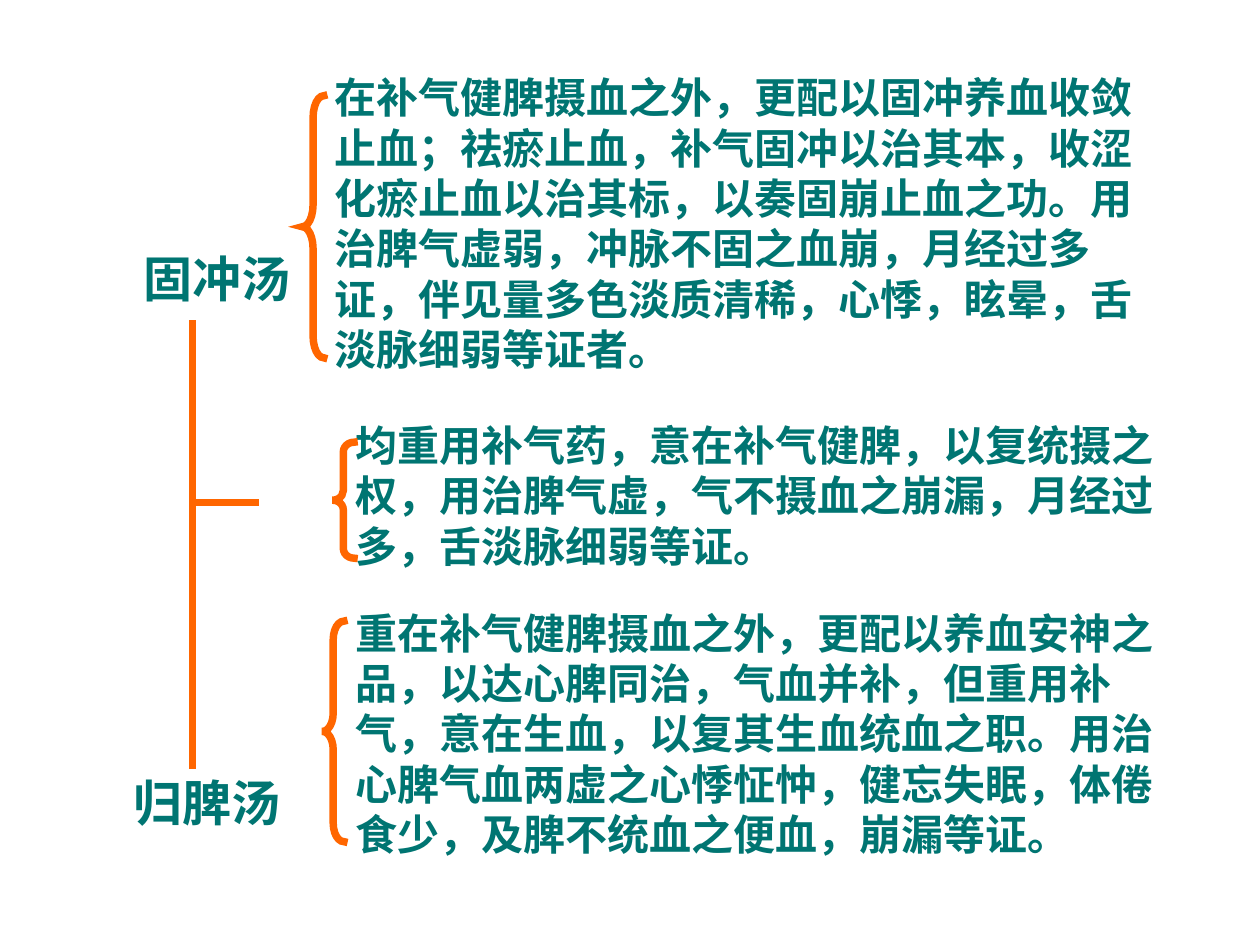
from dataclasses import dataclass

import pptx
import pptx.dml.color
import pptx.enum.lang
import pptx.enum.shapes
import pptx.enum.text
import pptx.oxml
import pptx.oxml.ns
import pptx.util

Inches = pptx.util.Inches
Pt = pptx.util.Pt


@dataclass(frozen=True)
class Theme:
    ink: pptx.dml.color.RGBColor = pptx.dml.color.RGBColor(0x00, 0x75, 0x72)
    accent: pptx.dml.color.RGBColor = pptx.dml.color.RGBColor(0xFF, 0x66, 0x00)
    chinese_font: str = "Noto Sans CJK SC"
    latin_font: str = "Arial"
    body_size: int = 24
    label_size: int = 28
    leading: float = 1.2
    stroke: float = 4.25


THEME = Theme()

LABELS = [
    ("固冲汤", (0.83, 1.92, 1.79, 0.57)),
    ("归脾汤", (0.67, 6.08, 1.95, 0.57)),
]

EXPLANATIONS = [
    (["在补气健脾摄血之外，更配以固冲养血收敛止血；祛瘀止血，补气固冲以治其本，收涩化瘀止血以治其标，"
      "以奏固崩止血之功。用治脾气虚弱，冲脉不固之血崩，月经过多证，伴见量多色淡质清稀，心悸，眩晕，"
      "舌淡脉细弱等证者。"],
     (2.56, 0.52, 6.75, 2.5), THEME.chinese_font),
    (["均重用补气药，意在补气健脾，以复统摄之权，用治脾气虚，气不摄血之崩漏，月经过",
      "多，舌淡脉细弱等证。"],
     (2.72, 3.28, 6.67, 1.7), THEME.chinese_font),
    (["重在补气健脾摄血之外，更配以养血安神之品，以达心脾同治，气血并补，但重用补气，意在生血，"
      "以复其生血统血之职。用治心脾气血两虚之心悸怔忡，健忘失眠，体倦食少，及脾不统血之便血，"
      "崩漏等证。"],
     (2.72, 4.77, 6.69, 2.1), THEME.latin_font),
]

BRACES = [(2.4, 0.76, 2.08), (2.64, 3.51, 0.92), (2.56, 4.93, 1.75)]
BRACE_WIDTH = 0.17

TRUNK_X = 1.53
BRANCHES = [
    ((TRUNK_X, 2.57), (TRUNK_X, 6.07)),
    ((TRUNK_X, 3.99), (2.03, 3.99)),
]


def make_element(tag, attributes=""):
    return pptx.oxml.parse_xml(
        f'<a:{tag} {pptx.oxml.ns.nsdecls("a")} {attributes}/>')


def add_text(slide, paragraphs, box, size, font, align):
    frame = slide.shapes.add_textbox(*map(Inches, box)).text_frame
    frame.word_wrap = True
    frame.margin_top = frame.margin_bottom = Inches(0.05)
    for index, wording in enumerate(paragraphs):
        paragraph = frame.add_paragraph() if index else frame.paragraphs[0]
        paragraph.alignment = align
        paragraph.line_spacing = Pt(size * THEME.leading)
        paragraph._p.get_or_add_pPr().set("hangingPunct", "0")
        run = paragraph.add_run()
        run.text = wording
        run.font.name = font
        run.font.size = Pt(size)
        run.font.bold = True
        run.font.color.rgb = THEME.ink
        run.font.language_id = pptx.enum.lang.MSO_LANGUAGE_ID.SIMPLIFIED_CHINESE
        east_asian = make_element("ea", f'typeface="{THEME.chinese_font}"')
        run.font._element.find(pptx.oxml.ns.qn("a:latin")).addnext(east_asian)


def style_line(line):
    line.color.rgb = THEME.accent
    line.width = Pt(THEME.stroke)
    outline = line._get_or_add_ln()
    outline.set("cap", "sq")
    outline.append(make_element("miter", 'lim="800000"'))


def add_brace(slide, left, top, height):
    brace = slide.shapes.add_shape(
        pptx.enum.shapes.MSO_SHAPE.LEFT_BRACE,
        Inches(left), Inches(top), Inches(BRACE_WIDTH), Inches(height))
    brace.adjustments[0] = height / 12 / BRACE_WIDTH
    brace.shadow.inherit = False
    brace.fill.background()
    style_line(brace.line)


def add_branch(slide, start, end):
    branch = slide.shapes.add_connector(
        pptx.enum.shapes.MSO_CONNECTOR.STRAIGHT, *map(Inches, start + end))
    style_line(branch.line)
    branch._element.spPr.append(make_element("effectLst"))


def main():
    deck = pptx.Presentation()
    deck.slide_width, deck.slide_height = Inches(10), Inches(7.5)
    slide = deck.slides.add_slide(deck.slide_layouts[6])
    alignment = pptx.enum.text.PP_ALIGN
    for paragraphs, box, font in EXPLANATIONS:
        add_text(slide, paragraphs, box, THEME.body_size, font, alignment.LEFT)
    for formula, box in LABELS:
        add_text(slide, [formula], box, THEME.label_size,
                 THEME.chinese_font, alignment.CENTER)
    for left, top, height in BRACES:
        add_brace(slide, left, top, height)
    for start, end in BRANCHES:
        add_branch(slide, start, end)
    deck.save("out.pptx")


if __name__ == "__main__":
    main()
